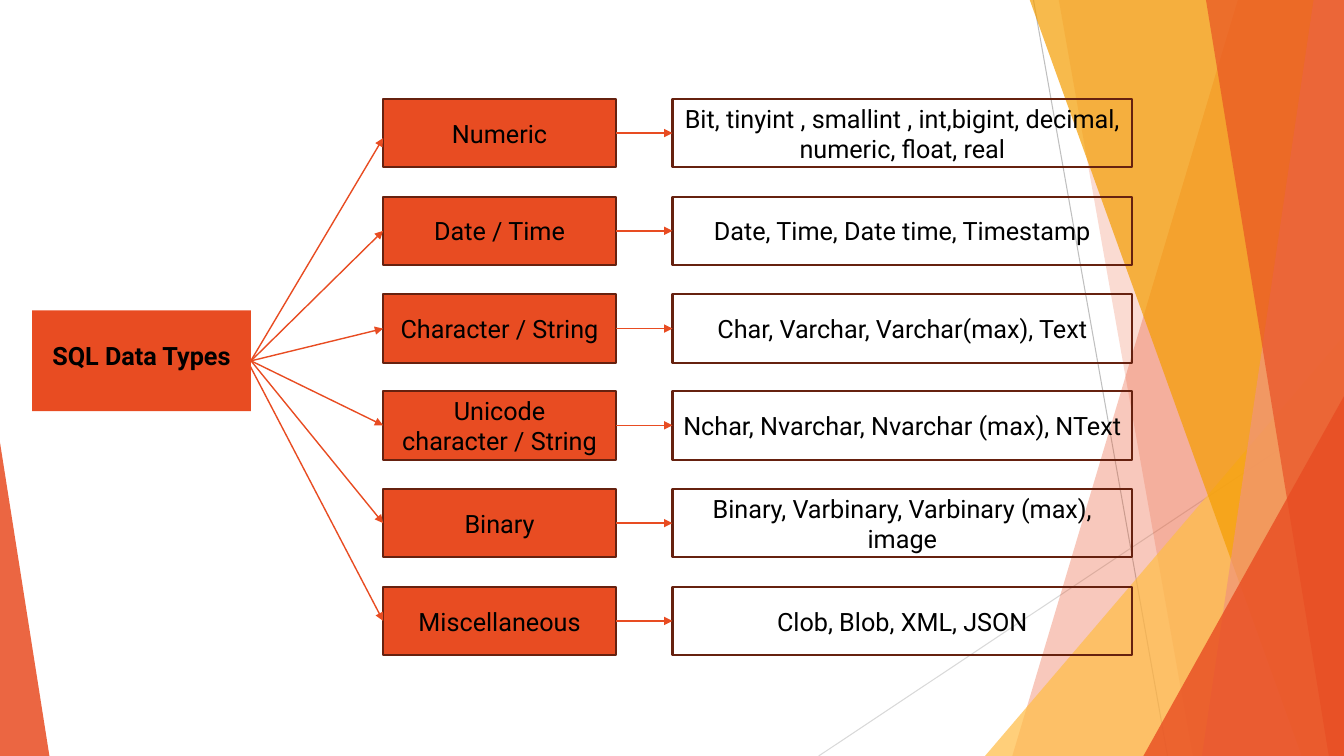
"""Build a slide that maps SQL data types to their members."""
import lxml.etree
import pptx
import pptx.dml.color
import pptx.enum.shapes
import pptx.enum.text
import pptx.oxml.ns
import pptx.util

RGB = pptx.dml.color.RGBColor
SHAPE = pptx.enum.shapes.MSO_SHAPE
ALIGN = pptx.enum.text.PP_ALIGN
ANCHOR = pptx.enum.text.MSO_ANCHOR
qn = pptx.oxml.ns.qn

ORANGE = RGB(0xE8, 0x4C, 0x22)
BROWN = RGB(0x66, 0x21, 0x0F)
YELLOW = RGB(0xFF, 0xBD, 0x47)
AMBER = RGB(0xF4, 0x9D, 0x00)
SALMON = RGB(0xF1, 0x94, 0x7A)
GREY = RGB(0xBF, 0xBF, 0xBF)
LIGHT_GREY = RGB(0xD9, 0xD9, 0xD9)
BLACK = RGB(0, 0, 0)

TITLE = "SQL Data Types"
TYPES = [
    ("Numeric", "Bit, tinyint , smallint , int,bigint, decimal, numeric, float, real"),
    ("Date / Time", "Date, Time, Date time, Timestamp"),
    ("Character / String", "Char, Varchar, Varchar(max), Text"),
    ("Unicode character / String", "Nchar, Nvarchar, Nvarchar (max), NText"),
    ("Binary", "Binary, Varbinary, Varbinary (max), image"),
    ("Miscellaneous", "Clob, Blob, XML, JSON"),
]

PX = 9144
WIDTH, HEIGHT = 1333, 750
ROOT = (32, 308, 217, 100)
ROOT_TEXT = (42, 333, 205, 55)
LOOSE_START = (247, 361)
NUMERIC_END = (380, 137)
FIRST_TOP, LAST_TOP, BOX_HEIGHT = 98, 582, 68
TYPE_LEFT, TYPE_WIDTH = 380, 231
MEMBER_LEFT, MEMBER_WIDTH = 667, 456

RULES = [((1025, 0), (1158, 750), GREY), ((1333, 403), (812, 750), LIGHT_GREY)]
# Each band: top-left x, bottom-left x, colour, opacity.
BACK_BANDS = [(1228, 1004, ORANGE, 30), (1050, 1183, ORANGE, 20)]
FRONT_BANDS = [(1021, 1291, AMBER, 70), (1303, 1192, SALMON, 70), (1196, 1318, ORANGE, 65)]
BACK_WEDGES = [((977, 333, 356, 417), 1, YELLOW, 72)]
FRONT_WEDGES = [((1134, 393, 199, 357), 1, ORANGE, 80), ((0, 439, 49, 311), 0, ORANGE, 85)]


def px(*lengths):
    return [pptx.util.Emu(n * PX) for n in lengths]


def paint(sp, fill=None, opacity=100, line=None):
    sp.shadow.inherit = False
    if fill is None:
        sp.fill.background()
    else:
        sp.fill.solid()
        sp.fill.fore_color.rgb = fill
        if opacity < 100:
            color = sp._element.spPr.find(qn("a:solidFill"))[0]
            lxml.etree.SubElement(color, qn("a:alpha"), val=str(opacity * 1000))
    if line is None:
        sp.line.fill.background()
    else:
        sp.line.color.rgb = line
        sp.line.width = pptx.util.Pt(1.5)


def write(sp, text, bold=False, align=ALIGN.LEFT, anchor=ANCHOR.TOP, before=0):
    tf = sp.text_frame
    tf.word_wrap = True
    tf.vertical_anchor = anchor
    p = tf.paragraphs[0]
    p.alignment = align
    p.space_before = pptx.util.Pt(before)
    r = p.add_run()
    r.text = text
    r.font.name = "Roboto"
    r.font.size = pptx.util.Pt(18)
    r.font.bold = bold
    r.font.color.rgb = BLACK


def add_box(shapes, box, text=None, fill=None, line=None):
    sp = shapes.add_shape(SHAPE.RECTANGLE, *px(*box))
    paint(sp, fill, line=line)
    if text:
        write(sp, text, align=ALIGN.CENTER, anchor=ANCHOR.MIDDLE)
    return sp


def add_line(shapes, start, end, color, width=0.75, arrow=False):
    kind = pptx.enum.shapes.MSO_CONNECTOR.STRAIGHT
    sp = shapes.add_connector(kind, *px(*start, *end))
    sp.line.color.rgb = color
    sp.line.width = pptx.util.Pt(width)
    if arrow:
        lxml.etree.SubElement(sp.line._get_or_add_ln(), qn("a:tailEnd"), type="triangle")
    lxml.etree.SubElement(sp._element.spPr, qn("a:effectLst"))
    return sp


def add_arrow(shapes, source=None, target=None, start=(0, 0), end=(0, 0)):
    sp = add_line(shapes, start, end, ORANGE, 1, arrow=True)
    if source is not None:
        sp.begin_connect(source, 3)
    if target is not None:
        sp.end_connect(target, 1)


def add_bands(shapes, bands):
    for top_x, bottom_x, color, opacity in bands:
        outline = shapes.build_freeform(top_x, -1, scale=PX)
        outline.add_line_segments([(WIDTH, -1), (WIDTH, HEIGHT), (bottom_x, HEIGHT)])
        paint(outline.convert_to_shape(), color, opacity)


def add_wedges(shapes, wedges):
    for box, apex, color, opacity in wedges:
        sp = shapes.add_shape(SHAPE.ISOSCELES_TRIANGLE, *px(*box))
        sp.adjustments[0] = apex
        paint(sp, color, opacity)


def add_background(shapes):
    for start, end, color in RULES:
        add_line(shapes, start, end, color)
    add_bands(shapes, BACK_BANDS)
    add_wedges(shapes, BACK_WEDGES)
    add_bands(shapes, FRONT_BANDS)
    add_wedges(shapes, FRONT_WEDGES)


def add_diagram(shapes):
    root = add_box(shapes, ROOT, fill=ORANGE)
    write(shapes.add_textbox(*px(*ROOT_TEXT)), TITLE, bold=True, before=10)
    last = len(TYPES) - 1
    pitch = (LAST_TOP - FIRST_TOP) / last
    for i, (name, members) in enumerate(TYPES):
        top = round(FIRST_TOP + i * pitch)
        type_box = add_box(shapes, (TYPE_LEFT, top, TYPE_WIDTH, BOX_HEIGHT), name, ORANGE, BROWN)
        member_box = add_box(
            shapes, (MEMBER_LEFT, top, MEMBER_WIDTH, BOX_HEIGHT), members, line=BROWN)
        if i == 0:
            add_arrow(shapes, start=LOOSE_START, end=NUMERIC_END)
        elif i == last:
            add_arrow(shapes, target=type_box, start=LOOSE_START)
        else:
            add_arrow(shapes, root, type_box)
        add_arrow(shapes, type_box, member_box)


def main():
    prs = pptx.Presentation()
    prs.slide_width, prs.slide_height = px(WIDTH, HEIGHT)
    slide = prs.slides.add_slide(prs.slide_layouts[6])
    add_background(slide.shapes)
    add_diagram(slide.shapes)
    prs.save("out.pptx")


if __name__ == "__main__":
    main()
